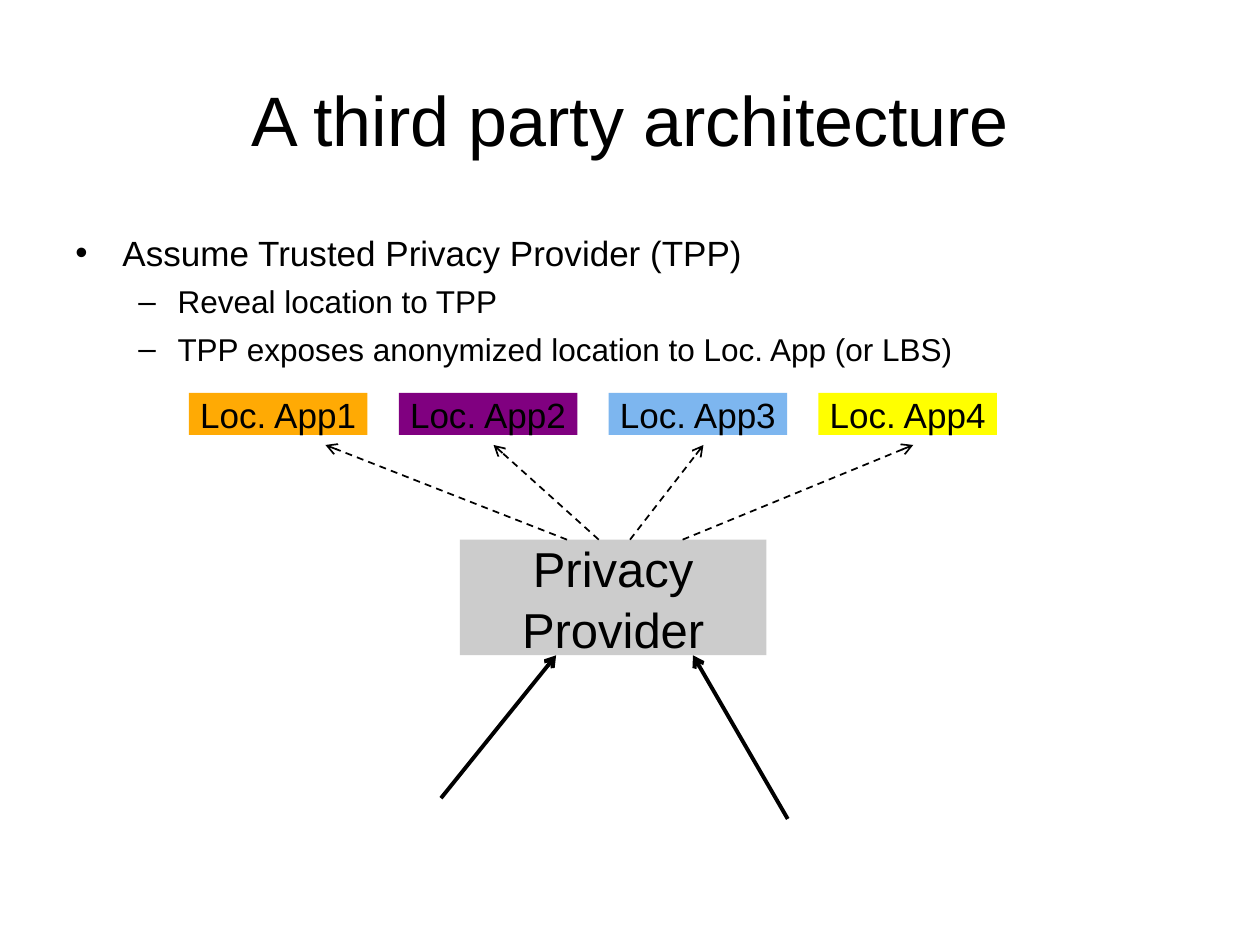
import pptx
import pptx.util
from pptx.dml.color import RGBColor
from pptx.enum.dml import MSO_LINE
from pptx.enum.shapes import MSO_CONNECTOR, MSO_SHAPE
from pptx.enum.text import MSO_ANCHOR, PP_ALIGN
from pptx.oxml.ns import qn
from pptx.util import Cm
from lxml import etree

COLORS = {
    "ink": "000000",
    "provider": "CCCCCC",
    "app1": "FFAA04",
    "app2": "800080",
    "app3": "7DB6EF",
    "app4": "FFFF00",
}
LINE_SPACING = 1.04


def color(name):
    return RGBColor.from_string(COLORS[name])


def style_paragraph(para, size, align):
    para.alignment = align
    para.line_spacing = LINE_SPACING
    para.font.name = "Arial"
    para.font.size = pptx.util.Pt(size)
    para.font.color.rgb = color("ink")


def add_bullet(para, mark, margin, hang):
    properties = para._p.get_or_add_pPr()
    properties.set("marL", str(Cm(margin)))
    properties.set("indent", str(-Cm(hang)))
    bullet_color = etree.SubElement(properties, qn("a:buClr"))
    etree.SubElement(bullet_color, qn("a:srgbClr"), val=COLORS["ink"])
    etree.SubElement(properties, qn("a:buFont"), typeface="Arial")
    etree.SubElement(properties, qn("a:buChar"), char=mark)


def add_title(page, text, left, top, width, height):
    title = page.shapes.title
    title.left, title.top = Cm(left), Cm(top)
    title.width, title.height = Cm(width), Cm(height)
    title.text_frame.text = text
    title.text_frame.vertical_anchor = MSO_ANCHOR.MIDDLE
    style_paragraph(title.text_frame.paragraphs[0], 40, PP_ALIGN.CENTER)


def add_points(page, points, left, top, width, height):
    box = page.shapes.add_textbox(Cm(left), Cm(top), Cm(width), Cm(height))
    frame = box.text_frame
    frame.word_wrap = True
    for index, (level, text) in enumerate(points):
        para = frame.add_paragraph() if index else frame.paragraphs[0]
        para.text = text
        para.level = level
        if level:
            add_bullet(para, "–", 2.06, 0.79)
        else:
            add_bullet(para, "•", 0.95, 0.95)
        style_paragraph(para, 18 if level else 20, PP_ALIGN.LEFT)
        if index:
            para.space_before = pptx.util.Pt(4.5)


def add_block(page, text, fill, size, left, top, width, height):
    block = page.shapes.add_shape(
        MSO_SHAPE.RECTANGLE, Cm(left), Cm(top), Cm(width), Cm(height))
    block.shadow.inherit = False
    block.fill.solid()
    block.fill.fore_color.rgb = color(fill)
    block.line.fill.background()
    frame = block.text_frame
    frame.word_wrap = False
    frame.vertical_anchor = MSO_ANCHOR.MIDDLE
    frame.text = text
    style_paragraph(frame.paragraphs[0], size, PP_ALIGN.CENTER)


def add_arrow(page, start, end, weight, dash=None):
    arrow = page.shapes.add_connector(
        MSO_CONNECTOR.STRAIGHT, *(Cm(value) for value in (*start, *end)))
    arrow.line.color.rgb = color("ink")
    arrow.line.width = pptx.util.Pt(weight)
    if dash:
        arrow.line.dash_style = dash
    etree.SubElement(arrow.line._get_or_add_ln(), qn("a:tailEnd"), type="arrow")
    etree.SubElement(arrow._element.spPr, qn("a:effectLst"))


def add_architecture(page, left, top):
    """Apps on top, the provider below them, and the users' arrows into it."""
    # Privacy provider
    provider_left, provider_top = left + 5.46, top + 2.96
    provider_width, provider_height = 6.18, 2.33
    add_block(page, "Privacy\vProvider", "provider", 28, provider_left,
              provider_top, provider_width, provider_height)

    # Location reports into the provider
    provider_bottom = provider_top + provider_height
    for start_x, end_x, drop in ((5.08, 7.4, 2.88), (12.07, 10.16, 3.3)):
        add_arrow(page, (left + start_x, provider_bottom + drop),
                  (left + end_x, provider_bottom), 2.25)

    # Location apps
    app_width, app_height, app_step = 3.6, 0.85, 4.23
    for index in range(4):
        add_block(page, f"Loc. App{index + 1}", f"app{index + 1}", 20,
                  left + index * app_step, top, app_width, app_height)

    # Anonymized locations out to the apps
    for start_x, end_x in ((7.62, 2.75), (8.26, 6.14), (8.89, 10.37), (9.95, 14.6)):
        add_arrow(page, (left + start_x, provider_top),
                  (left + end_x, top + 1.05), 1, MSO_LINE.DASH)


def main():
    deck = pptx.Presentation()
    deck.slide_width, deck.slide_height = Cm(25.4), Cm(19.05)
    page = deck.slides.add_slide(deck.slide_layouts[5])
    add_title(page, "A third party architecture", 1.27, 0.76, 22.86, 3.18)
    add_points(page, [
        (0, "Assume Trusted Privacy Provider (TPP)"),
        (1, "Reveal location to TPP"),
        (1, "TPP exposes anonymized location to Loc. App (or LBS)"),
    ], 1.27, 4.5, 22.86, 12.5)
    add_architecture(page, 3.81, 7.92)
    deck.save("out.pptx")


if __name__ == "__main__":
    main()
